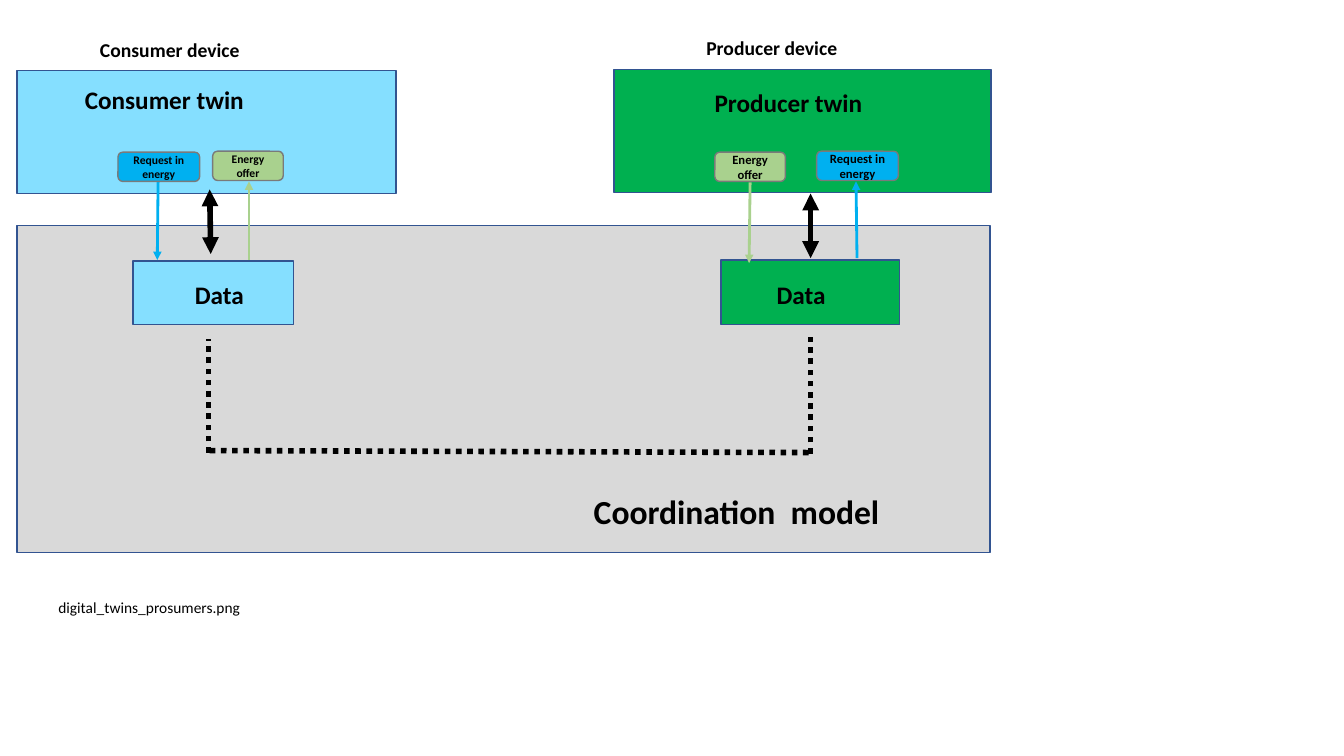
from lxml.etree import SubElement
from pptx import Presentation
from pptx.dml.color import RGBColor
from pptx.enum.dml import MSO_LINE
from pptx.enum.shapes import MSO_CONNECTOR, MSO_SHAPE
from pptx.enum.text import MSO_ANCHOR, PP_ALIGN
from pptx.oxml.ns import qn
from pptx.util import Inches, Pt

COLORS = {
    "black": "000000", "outline": "325491", "chip outline": "7A7A7A",
    "model": "D9D9D9", "consumer": "85DFFF", "producer": "00B050",
    "request": "00B0F0", "offer": "A9D18E",
}
CHIP_TEXT = {"request": "Request in energy", "offer": "Energy offer"}
CHIP_WIDTH = {"request": 8.1, "offer": 7}

# Boxes are (column, row, columns wide, rows high); arrows are (from, to).
SIDES = [
    {
        "name": "Consumer", "color": "consumer",
        "twin": (1.7, 7, 37.6, 12.2), "data": (13.2, 25.9, 15.9, 6.3),
        "device label": (5.7, 3.3, 22.3, 3.4),
        "twin label": (2.9, 7.9, 26.8, 4), "data label": (16.8, 27.2, 9.9, 4),
        "chip size": 8.3,
        "chips": {"request": (11.7, 15.1), "offer": (21.1, 15)},
        "arrows": {"request": ((15.7, 16.5), (15.6, 25.8)),
                   "offer": ((24.7, 25.8), (24.7, 18))},
        "exchange": ((20.8, 18.8), (20.9, 25.2)),
        "riser": ((20.7, 44.9), (20.7, 33.6)),
    },
    {
        "name": "Producer", "color": "producer",
        "twin": (60.9, 6.9, 37.4, 12.2), "data": (71.5, 25.8, 17.7, 6.4),
        "device label": (62.4, 3.1, 28.3, 3.4),
        "twin label": (64.8, 8.2, 26.8, 4), "data label": (74.5, 27.2, 9.9, 4),
        "chip size": 9,
        "chips": {"offer": (70.9, 15.1), "request": (81, 15)},
        "arrows": {"offer": ((74.4, 18.1), (74.3, 26.1)),
                   "request": ((85, 25.6), (84.9, 18))},
        "exchange": ((80.4, 19.2), (80.4, 25.6)),
        "riser": ((80.4, 45), (80.4, 33.4)),
    },
]


class Diagram:
    """Draws on one slide whose grid cells are a tenth of an inch square."""

    cell = Inches(0.1)
    font_name = "Calibri"

    def __init__(self, slide):
        self.shapes = slide.shapes

    def lengths(self, *cells):
        return [round(count * self.cell) for count in cells]

    def color(self, name):
        return RGBColor.from_string(COLORS[name])

    def set_text(self, shape, text, size, bold, align):
        frame = shape.text_frame
        frame.word_wrap = True
        paragraph = frame.paragraphs[0]
        paragraph.text = text
        paragraph.alignment = align
        font = paragraph.font
        font.name, font.size, font.bold = self.font_name, Pt(size), bold
        font.color.rgb = self.color("black")

    def box(self, area, fill, outline="outline", preset=MSO_SHAPE.RECTANGLE):
        shape = self.shapes.add_shape(preset, *self.lengths(*area))
        shape.shadow.inherit = False
        shape.fill.solid()
        shape.fill.fore_color.rgb = self.color(fill)
        shape.line.color.rgb = self.color(outline)
        shape.line.width = Pt(1)
        return shape

    def chip(self, corner, kind, size):
        area = (*corner, CHIP_WIDTH[kind], 2.9)
        shape = self.box(area, kind, "chip outline", MSO_SHAPE.ROUNDED_RECTANGLE)
        self.set_text(shape, CHIP_TEXT[kind], size, True, PP_ALIGN.CENTER)
        frame = shape.text_frame
        frame.vertical_anchor = MSO_ANCHOR.MIDDLE
        frame.margin_top = frame.margin_bottom = 0

    def label(self, area, text, size, bold=True, align=PP_ALIGN.CENTER):
        shape = self.shapes.add_textbox(*self.lengths(*area))
        self.set_text(shape, text, size, bold, align)

    def line(self, ends, color="black", width=4, dotted=False, heads=()):
        """Draw a line; heads may hold headEnd and tailEnd, in that order."""
        start, end = ends
        connector = self.shapes.add_connector(
            MSO_CONNECTOR.STRAIGHT, *self.lengths(*start, *end))
        connector.line.color.rgb = self.color(color)
        connector.line.width = Pt(width)
        if dotted:
            connector.line.dash_style = MSO_LINE.ROUND_DOT
        properties = connector._element.spPr
        outline = properties.find(qn("a:ln"))
        for head in heads:
            SubElement(outline, qn(f"a:{head}"), type="triangle")
        SubElement(properties, qn("a:effectLst"))

    def side(self, side):
        """Draw one device: its twin, its data and the exchange between them."""
        self.box(side["twin"], side["color"])
        self.box(side["data"], side["color"])
        for kind, ends in side["arrows"].items():
            self.line(ends, kind, 2, heads=["tailEnd"])
        for kind, corner in side["chips"].items():
            self.chip(corner, kind, side["chip size"])
        self.line(side["exchange"], heads=["headEnd", "tailEnd"])
        self.line(side["riser"], dotted=True)
        self.label(side["device label"], f"{side['name']} device", 14)
        self.label(side["twin label"], f"{side['name']} twin", 18)
        self.label(side["data label"], "Data", 18)


def main():
    presentation = Presentation()
    presentation.slide_width = Inches(13.33)
    presentation.slide_height = Inches(7.5)
    blank_layout = presentation.slide_layouts[6]
    diagram = Diagram(presentation.slides.add_slide(blank_layout))

    diagram.box((1.7, 22.4, 96.5, 32.4), "model")
    diagram.line(((20.8, 44.7), (80.5, 44.9)), dotted=True)
    diagram.label((57.9, 48.2, 31.8, 5), "Coordination  model", 24,
                  align=PP_ALIGN.LEFT)
    for side in SIDES:
        diagram.side(side)
    diagram.label((4.8, 58.8, 27.9, 2.9), "digital_twins_prosumers.png", 11,
                  bold=False, align=PP_ALIGN.LEFT)
    presentation.save("out.pptx")


if __name__ == "__main__":
    main()
